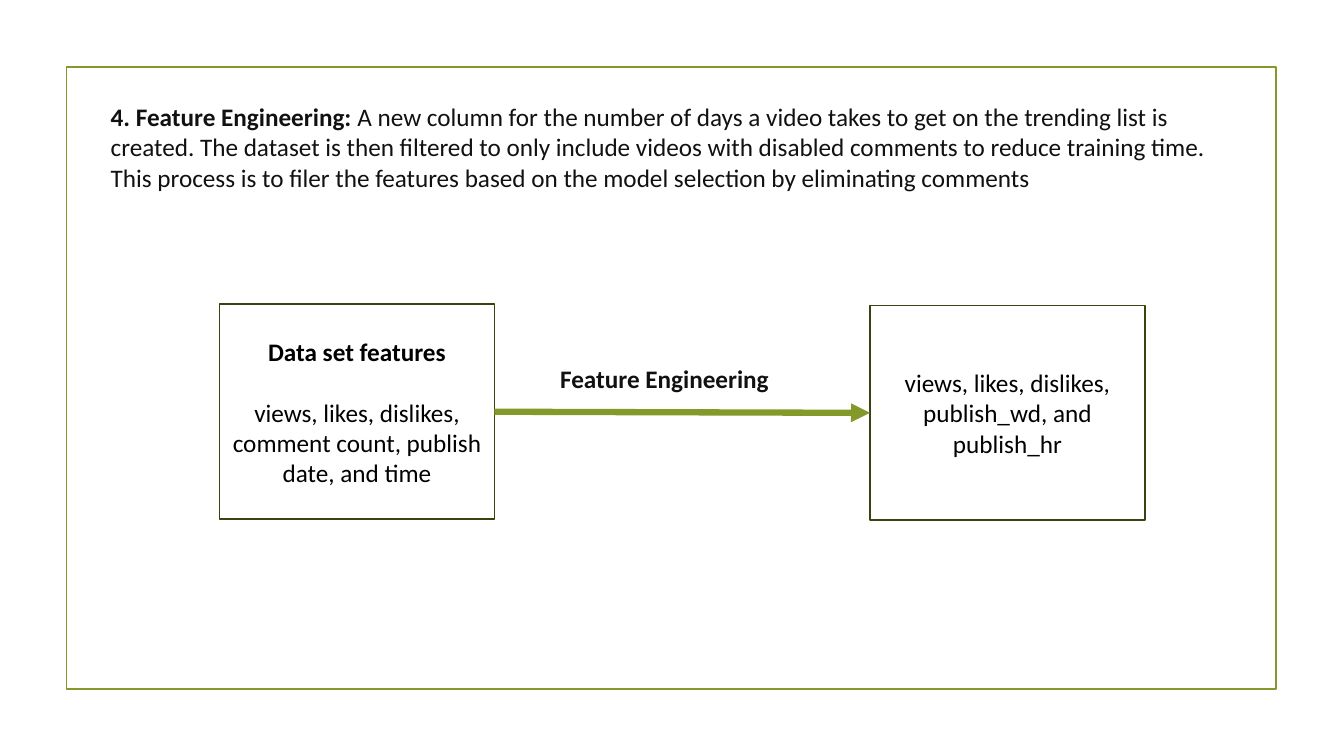
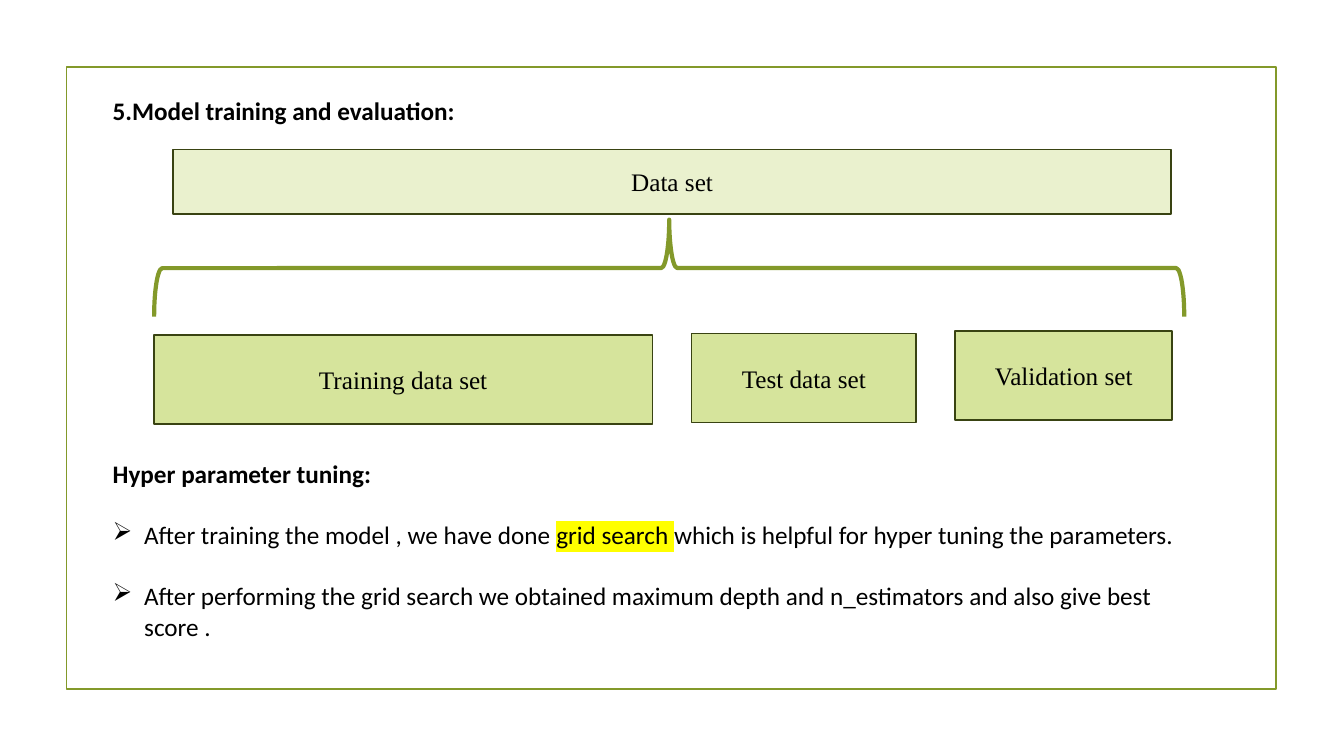
from pptx import Presentation
from pptx.dml.color import RGBColor
from pptx.enum.shapes import MSO_CONNECTOR, MSO_SHAPE
from pptx.enum.text import MSO_ANCHOR, PP_ALIGN
from pptx.oxml.ns import qn
from pptx.util import Pt
from lxml.etree import SubElement

OLIVE = RGBColor(0x83, 0x99, 0x2A)
DARK_OLIVE = RGBColor(0x39, 0x43, 0x12)
PALE_GREEN = RGBColor(0xEA, 0xF1, 0xCE)
LIGHT_GREEN = RGBColor(0xD6, 0xE4, 0x9C)
WHITE = RGBColor(0xFF, 0xFF, 0xFF)
BLACK = RGBColor(0, 0, 0)
INK = RGBColor(0x11, 0x11, 0x11)
YELLOW = RGBColor(0xFF, 0xFF, 0)

SANS, SERIF = "Calibri", "Times New Roman"
BLANK_LINE = 22
BULLET_INDENT = 22.5


def add_run(p, text, bold=False, color=BLACK, font=SANS, highlight=None):
    r = p.add_run()
    r.text = text
    r.font.size = Pt(18)
    r.font.bold = bold
    r.font.color.rgb = color
    r.font.name = font
    if highlight is not None:
        rpr = r.font._element
        mark = SubElement(rpr, qn("a:highlight"))
        SubElement(mark, qn("a:srgbClr"), val=str(highlight))
        rpr.find(qn("a:latin")).addprevious(mark)


def add_paragraph(tf, text="", align=None, before=0, bullet=None, **fmt):
    """Fill the first paragraph if it is empty, otherwise append one."""
    p = tf.paragraphs[-1]
    if p.runs:
        p = tf.add_paragraph()
    p.alignment = align
    p.space_before = Pt(before)
    if bullet:
        ppr = p._p.get_or_add_pPr()
        ppr.set("marL", str(Pt(BULLET_INDENT)))
        ppr.set("indent", str(-Pt(BULLET_INDENT)))
        SubElement(ppr, qn("a:buChar"), char=bullet)
    if text:
        add_run(p, text, **fmt)
    return p


def add_textbox(s, x, y, w, h):
    tf = s.shapes.add_textbox(Pt(x), Pt(y), Pt(w), Pt(h)).text_frame
    tf.word_wrap = True
    return tf


def add_shape(s, x, y, w, h, kind=MSO_SHAPE.RECTANGLE, fill=None,
              line=DARK_OLIVE, weight=1.25):
    sp = s.shapes.add_shape(kind, Pt(x), Pt(y), Pt(w), Pt(h))
    sp.shadow.inherit = False
    if fill is None:
        sp.fill.background()
    else:
        sp.fill.solid()
        sp.fill.fore_color.rgb = fill
    sp.line.color.rgb = line
    sp.line.width = Pt(weight)
    sp.text_frame.word_wrap = True
    sp.text_frame.vertical_anchor = MSO_ANCHOR.MIDDLE
    return sp


def add_arrow(s, source, target):
    """Arrow from the right side of source to the left side of target."""
    arrow = s.shapes.add_connector(MSO_CONNECTOR.STRAIGHT, 0, 0, 0, 0)
    arrow.begin_connect(source, 3)
    arrow.end_connect(target, 1)
    arrow.line.color.rgb = OLIVE
    arrow.line.width = Pt(4.5)
    SubElement(arrow.line._get_or_add_ln(), qn("a:tailEnd"), type="triangle")
    SubElement(arrow._element.spPr, qn("a:effectLst"))


def add_framed_slide(prs):
    s = prs.slides.add_slide(prs.slide_layouts[6])
    add_shape(s, 47.6, 48, 864, 444.4, line=OLIVE)
    return s


def build_feature_engineering(prs):
    s = add_framed_slide(prs)

    # Introduction
    tf = add_textbox(s, 72, 69, 817, 94)
    p = add_paragraph(tf, "4. Feature Engineering: ", bold=True, color=INK)
    add_run(p, "A new column for the number of days a video takes to get on "
               "the trending list is created. The dataset is then filtered to "
               "only include videos with disabled comments to reduce training "
               "time.", color=INK)
    add_paragraph(tf, "This process is to filer the features based on the "
                      "model selection by eliminating comments", color=INK)

    # Features before and after
    before = add_shape(s, 156.8, 217.4, 196.4, 153.4, fill=WHITE)
    after = add_shape(s, 621.4, 218.2, 196.4, 153.4, fill=WHITE)
    center = PP_ALIGN.CENTER
    add_paragraph(before.text_frame, "Data set features", align=center,
                  bold=True)
    add_paragraph(before.text_frame, "views, likes, dislikes, comment count, "
                  "publish date, and time", align=center, before=BLANK_LINE)
    add_paragraph(after.text_frame, "views, likes, dislikes, publish_wd, and "
                  "publish_hr", align=center)
    add_arrow(s, before, after)

    # Arrow label
    tf = add_textbox(s, 393, 255.6, 482, 29)
    add_paragraph(tf, "Feature Engineering", bold=True, color=INK)


def build_model_training(prs):
    s = add_framed_slide(prs)
    tf = add_textbox(s, 73.4, 64.4, 813, 29)
    add_paragraph(tf, "5.Model training and evaluation:", bold=True)

    # Data set and its three parts
    for text, x, y, w, h, fill in (
            ("Data set", 123.6, 106.8, 713, 46, PALE_GREEN),
            ("Training data set", 110, 239.2, 356, 63.6, LIGHT_GREEN),
            ("Test data set", 494, 238.2, 160.4, 63.6, LIGHT_GREEN),
            ("Validation set", 682.4, 236.6, 155, 63.6, LIGHT_GREEN)):
        sp = add_shape(s, x, y, w, h, fill=fill)
        add_paragraph(sp.text_frame, text, align=PP_ALIGN.CENTER, font=SERIF)

    # Brace opening downwards
    brace = add_shape(s, 443.4, -176.4, 69.2, 735.8, MSO_SHAPE.LEFT_BRACE,
                      line=OLIVE, weight=3)
    brace.rotation = 90

    # Tuning notes
    tf = add_textbox(s, 73.4, 324, 804, 160)
    add_paragraph(tf, "Hyper parameter tuning:", bold=True)
    p = add_paragraph(tf, "After training the model , we have done ",
                      before=BLANK_LINE, bullet="➢")
    add_run(p, "grid search ", highlight=YELLOW)
    add_run(p, "which is helpful for hyper tuning the parameters.")
    add_paragraph(tf, "After performing the grid search we obtained maximum "
                  "depth and n_estimators and also give best score .",
                  before=BLANK_LINE, bullet="➢")


def main():
    prs = Presentation()
    prs.slide_width, prs.slide_height = Pt(960), Pt(540)
    build_feature_engineering(prs)
    build_model_training(prs)
    prs.save("out.pptx")


if __name__ == "__main__":
    main()
